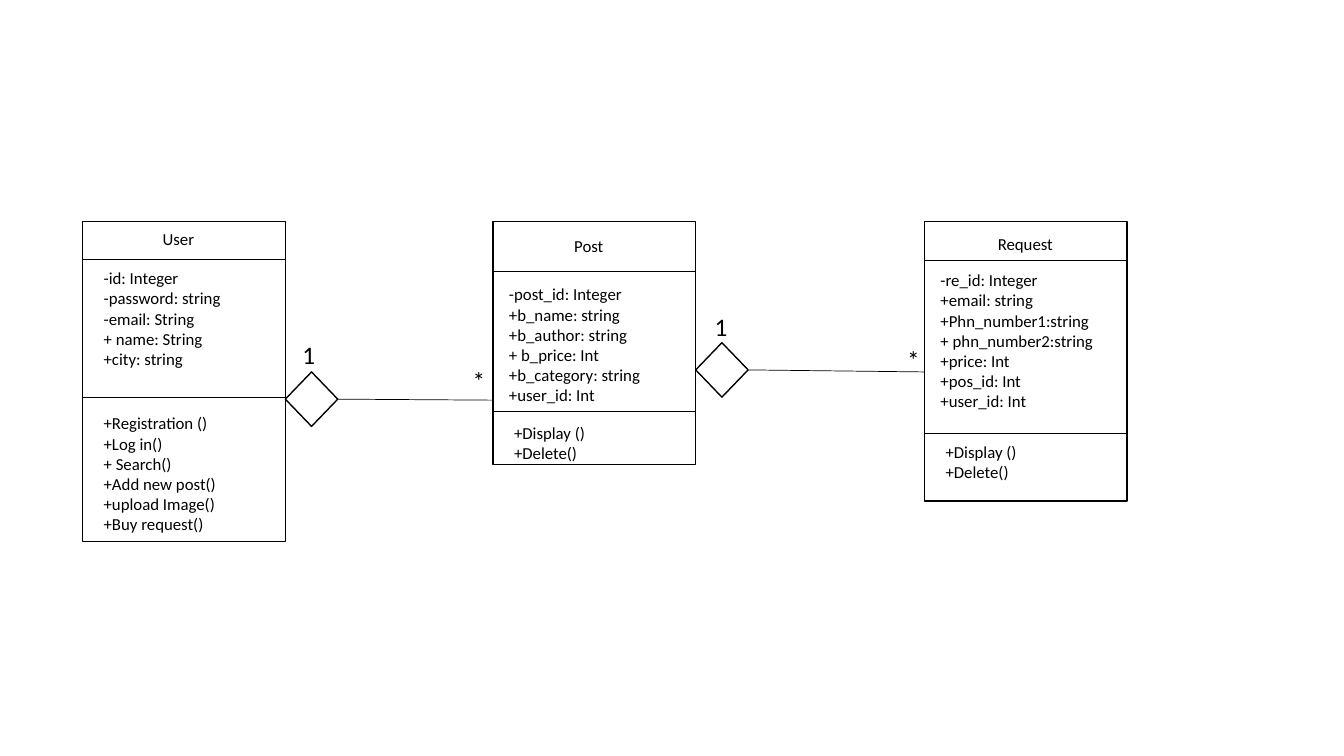
from dataclasses import dataclass

from pptx import Presentation
from pptx.dml.color import RGBColor
from pptx.enum.shapes import MSO_CONNECTOR, MSO_SHAPE
from pptx.enum.text import MSO_AUTO_SIZE, PP_ALIGN
from pptx.oxml.ns import qn
from pptx.util import Pt
from lxml.etree import SubElement

PX = 9144
BOX_W, BOX_TOP, TEXT_W = 201, 220, 190
DIAMOND_W, DIAMOND_H = 52, 54


@dataclass(frozen=True)
class Theme:
    """Colours, font and sizes of the class diagram."""
    ink: RGBColor = RGBColor(0, 0, 0)
    font: str = "Calibri"
    body: int = 12
    multiplicity: int = 18
    outline: float = 1
    rule: float = 0.5


THEME = Theme()

CLASSES = [
    dict(x=82, height=317, rules=(257, 394),
         name=("User", 82, 222),
         attributes=(93, 261, ["-id: Integer", "-password: string", "-email: String",
                               "+ name: String", "+city: string"]),
         operations=(93, 405, ["+Registration ()", "+Log in()", "+ Search()",
                               "+Add new post()", "+upload Image()", "+Buy request()"])),
    dict(x=489, height=241, rules=(269, 408),
         name=("Post", 489, 229),
         attributes=(495, 277, ["-post_id: Integer", "+b_name: string", "+b_author: string",
                                "+ b_price: Int", "+b_category: string", "+user_id: Int"]),
         operations=(500, 414, ["+Display ()", "+Delete()"])),
    dict(x=917, height=277, rules=(258, 430),
         name=("Request", 922, 227),
         attributes=(923, 263, ["-re_id: Integer", "+email: string", "+Phn_number1:string",
                                "+ phn_number2:string", "+price: Int", "+pos_id: Int",
                                "+user_id: Int"]),
         operations=(928, 433, ["+Display ()", "+Delete()"])),
]

AGGREGATIONS = [
    dict(x=283, y=369, end=(489, 397), one=(290, 332), many=(459, 358)),
    dict(x=690, y=340, end=(917, 369), one=(699, 304), many=(890, 337)),
]


def add_outline(s, kind, x, y, w, h):
    """Draw an unfilled preset shape."""
    sp = s.shapes.add_shape(kind, x * PX, y * PX, w * PX, h * PX)
    sp.shadow.inherit = False
    sp.fill.background()
    sp.line.color.rgb = THEME.ink
    sp.line.width = Pt(THEME.outline)


def add_rule(s, x1, y1, x2, y2):
    """Draw a thin straight line."""
    line = s.shapes.add_connector(MSO_CONNECTOR.STRAIGHT, x1 * PX, y1 * PX, x2 * PX, y2 * PX)
    line.line.color.rgb = THEME.ink
    line.line.width = Pt(THEME.rule)
    SubElement(line._element.spPr, qn("a:effectLst"))


def add_text(s, x, y, lines, w=TEXT_W, size=THEME.body, align=PP_ALIGN.LEFT):
    """Write one paragraph per line in a text box."""
    height = round(len(lines) * size * 5 / 3) + 10
    tf = s.shapes.add_textbox(x * PX, y * PX, w * PX, height * PX).text_frame
    tf.word_wrap = True
    tf.auto_size = MSO_AUTO_SIZE.SHAPE_TO_FIT_TEXT
    tf.text = "\n".join(lines)
    for p in tf.paragraphs:
        p.alignment = align
        for r in p.runs:
            r.font.name = THEME.font
            r.font.size = Pt(size)
            r.font.color.rgb = THEME.ink


def add_class(s, x, height, rules, name, attributes, operations):
    """Draw a class box with its three compartments."""
    add_outline(s, MSO_SHAPE.RECTANGLE, x, BOX_TOP, BOX_W, height)
    for y in rules:
        add_rule(s, x, y, x + BOX_W, y)
    title, title_x, title_y = name
    add_text(s, title_x, title_y, [title], align=PP_ALIGN.CENTER)
    add_text(s, *attributes)
    add_text(s, *operations)


def add_aggregation(s, x, y, end, one, many):
    """Draw a diamond, its line and both multiplicities."""
    add_outline(s, MSO_SHAPE.DIAMOND, x, y, DIAMOND_W, DIAMOND_H)
    add_rule(s, x + DIAMOND_W, y + DIAMOND_H // 2, *end)
    for label, place in (("1", one), ("*", many)):
        add_text(s, *place, [label], w=33, size=THEME.multiplicity)


def main():
    """Build the class diagram slide."""
    prs = Presentation()
    prs.slide_width, prs.slide_height = 1333 * PX, 750 * PX
    s = prs.slides.add_slide(prs.slide_layouts[6])
    for item in CLASSES:
        add_class(s, **item)
    for item in AGGREGATIONS:
        add_aggregation(s, **item)
    prs.save("out.pptx")


if __name__ == "__main__":
    main()
